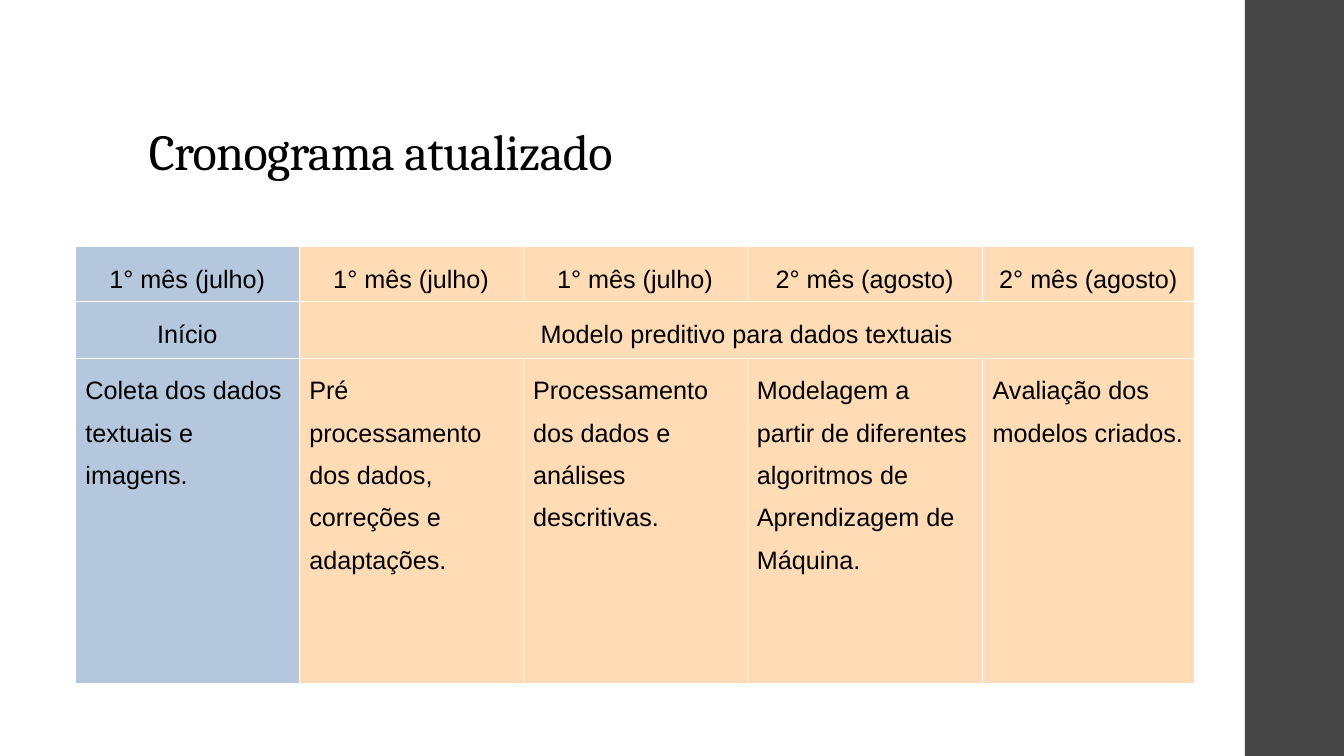
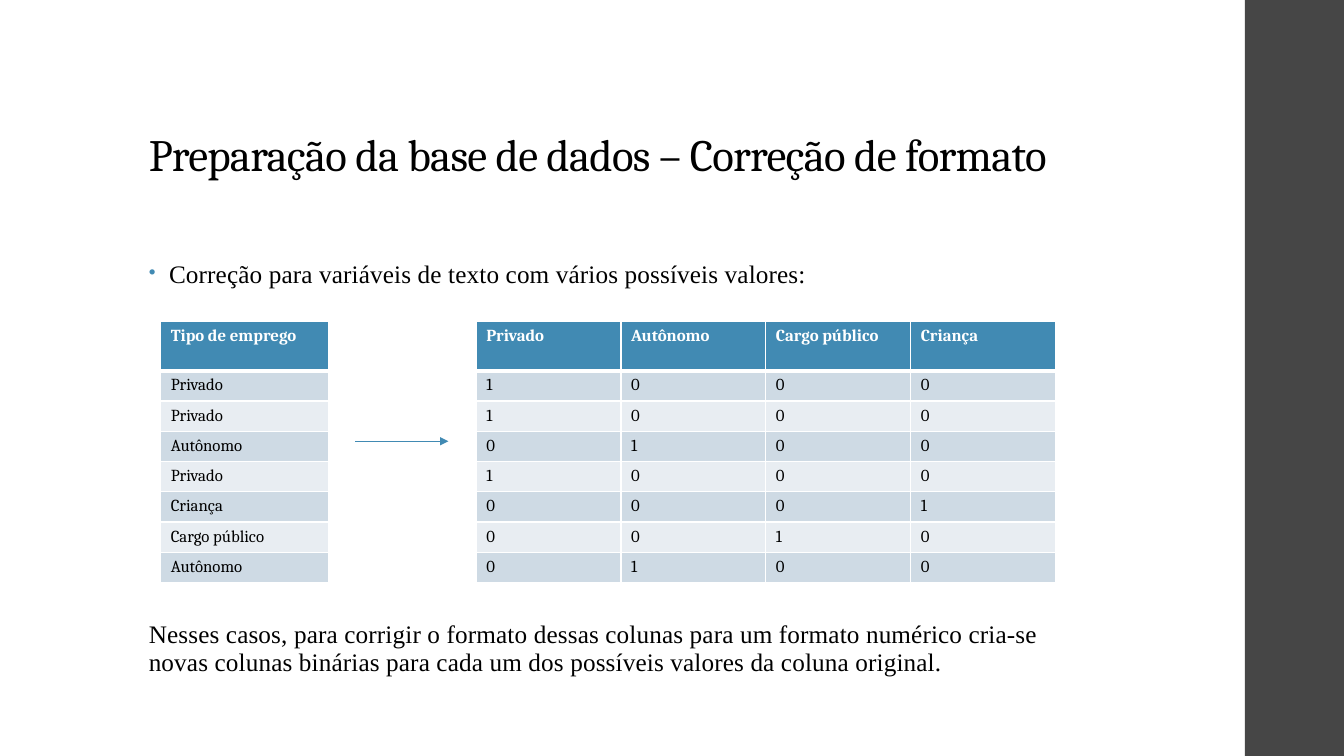
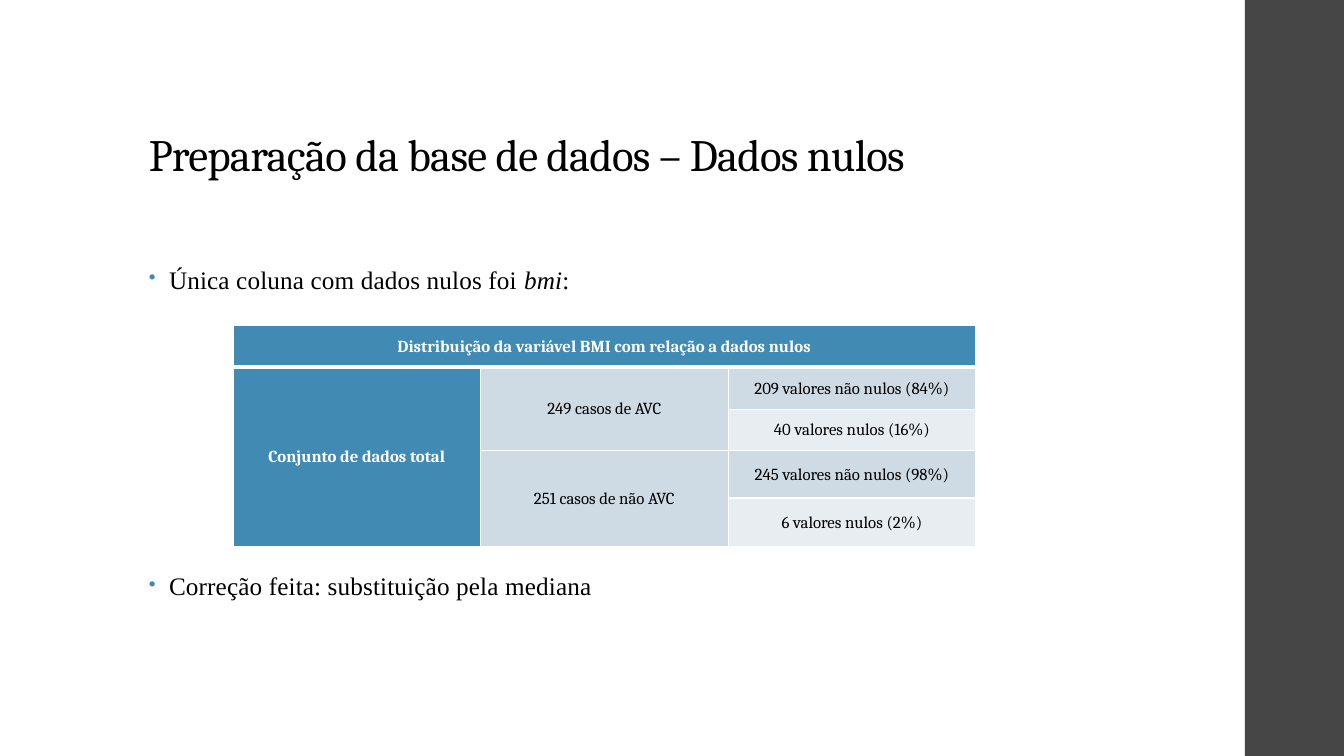
from lxml.etree import SubElement
from pptx import Presentation
from pptx.dml.color import RGBColor
from pptx.enum.shapes import MSO_CONNECTOR as Connector, MSO_SHAPE as Shape
from pptx.enum.text import MSO_ANCHOR as Anchor, PP_ALIGN as Align
from pptx.oxml.ns import qn
from pptx.util import Cm, Pt

WHITE = RGBColor(0xFF, 0xFF, 0xFF)
BLACK = RGBColor(0x00, 0x00, 0x00)
CHARCOAL = RGBColor(0x46, 0x46, 0x46)
ACCENT = RGBColor(0x41, 0x8A, 0xB3)
BAND_DARK = RGBColor(0xCE, 0xDA, 0xE4)
BAND_LIGHT = RGBColor(0xE8, 0xED, 0xF2)
START_BLUE = RGBColor(0xB4, 0xC7, 0xDC)
MODEL_PEACH = RGBColor(0xFF, 0xDB, 0xB6)

TEXT_LEFT = 3.5
TITLE_FONT = dict(name="Cambria", size=Pt(32))
BODY_FONT = dict(name="Times New Roman", size=Pt(18))
DATA_FONT = dict(name="Cambria", size=Pt(12))
SCHEDULE_FONT = dict(name="Arial", size=Pt(18))


def apply(target, values):
    for name, value in values.items():
        setattr(target, name, value)


def banded_fill(row, column):
    if row == 0:
        return ACCENT
    return BAND_DARK if row % 2 else BAND_LIGHT


class Deck:
    """Builds slides with a shared band, title style and table style."""

    def __init__(self):
        self.presentation = Presentation()
        apply(self.presentation, dict(slide_width=Cm(33.87), slide_height=Cm(19.05)))

    def add_slide(self, title, size=32):
        self.slide = self.presentation.slides.add_slide(self.presentation.slide_layouts[6])
        band = self.slide.shapes.add_shape(Shape.RECTANGLE, Cm(31.37), 0, Cm(2.5), Cm(19.05))
        band.shadow.inherit = False
        band.fill.solid()
        band.fill.fore_color.rgb = CHARCOAL
        band.line.fill.background()
        paragraph = self.text_box(1.02, 26.92, 3.68, Anchor.BOTTOM)
        paragraph.line_spacing = 0.9
        self.add_run(paragraph, title, {**TITLE_FONT, "size": Pt(size)}, spacing=-50)

    def text_box(self, top, width, height, anchor=Anchor.TOP):
        box = self.slide.shapes.add_textbox(Cm(TEXT_LEFT), Cm(top), Cm(width), Cm(height))
        apply(box.text_frame, dict(word_wrap=True, vertical_anchor=anchor))
        return box.text_frame.paragraphs[0]

    def add_run(self, paragraph, text, font, color=BLACK, spacing=0):
        run = paragraph.add_run()
        run.text = text
        apply(run.font, font)
        run.font.color.rgb = color
        if spacing:
            run.font._element.set("spc", str(spacing))

    def body(self, top, *parts, height=1.0, bullet=True):
        paragraph = self.text_box(top, 23.88, height)
        paragraph.line_spacing = 0.95
        if bullet:
            properties = paragraph._p.get_or_add_pPr()
            properties.set("marL", str(Cm(0.51)))
            properties.set("indent", str(-Cm(0.51)))
            color = SubElement(properties, qn("a:buClr"))
            SubElement(color, qn("a:srgbClr"), val=str(ACCENT))
            SubElement(properties, qn("a:buSzPct"), val="80000")
            SubElement(properties, qn("a:buChar"), char="•")
        for text, italic in parts:
            self.add_run(paragraph, text, {**BODY_FONT, "italic": italic}, spacing=10)

    def table(self, left, top, widths, heights, rows, fill=banded_fill, font=DATA_FONT,
              cell_format=None, paragraph_format=None, border=0.96, header_rule=3,
              centered_rows=0, spans=None):
        frame = self.slide.shapes.add_table(
            len(rows), len(widths), Cm(left), Cm(top), Cm(sum(widths)), Cm(sum(heights)))
        table = frame.table
        table.horz_banding = False
        for column, width in zip(table.columns, widths):
            column.width = Cm(width)
        for row, height in zip(table.rows, heights):
            row.height = Cm(height)
        for row_index, texts in enumerate(rows):
            for column_index, text in enumerate(texts):
                cell = table.cell(row_index, column_index)
                color = fill(row_index, column_index)
                self.borders(cell, L=border, R=border,
                             T=header_rule if row_index == 1 else border,
                             B=header_rule if row_index == 0 else border)
                cell.fill.solid()
                cell.fill.fore_color.rgb = color
                apply(cell, cell_format or {})
                if text is None:
                    continue
                paragraph = cell.text_frame.paragraphs[0]
                apply(paragraph, paragraph_format or {})
                if row_index < centered_rows:
                    paragraph.alignment = Align.CENTER
                is_header = color == ACCENT
                self.add_run(paragraph, text, {**font, "bold": is_header},
                             WHITE if is_header else BLACK)
        for (first_row, first_column), (last_row, last_column) in (spans or {}).items():
            table.cell(first_row, first_column).merge(table.cell(last_row, last_column))

    def borders(self, cell, **widths):
        properties = cell._tc.get_or_add_tcPr()
        for side, width in widths.items():
            line = SubElement(properties, qn(f"a:ln{side}"), w=str(Pt(width)))
            SubElement(SubElement(line, qn("a:solidFill")), qn("a:srgbClr"), val=str(WHITE))

    def arrow(self, left, right, height):
        arrow = self.slide.shapes.add_connector(
            Connector.STRAIGHT, Cm(left), Cm(height), Cm(right), Cm(height))
        arrow.line.color.rgb = ACCENT
        arrow.line.width = Pt(0.75)
        SubElement(arrow.line._get_or_add_ln(), qn("a:tailEnd"), type="triangle")
        SubElement(arrow._element.spPr, qn("a:effectLst"))


def schedule_slide(deck):
    deck.add_slide("Cronograma atualizado", size=36)
    deck.table(
        1.9, 6.2, [5.64, 5.64, 5.64, 5.94, 5.33], [1.32, 1.42, 8.2],
        [["1° mês (julho)"] * 3 + ["2° mês (agosto)"] * 2,
         ["Início", "Modelo preditivo para dados textuais", None, None, None],
         ["Coleta dos dados textuais e imagens.",
          "Pré processamento dos dados, correções e adaptações.",
          "Processamento dos dados e análises descritivas.",
          "Modelagem a partir de diferentes algoritmos de Aprendizagem de Máquina.",
          "Avaliação dos modelos criados."]],
        fill=lambda row, column: MODEL_PEACH if column else START_BLUE,
        font=SCHEDULE_FONT, paragraph_format=dict(line_spacing=1.5),
        border=0.06, header_rule=0.06, centered_rows=2, spans={(1, 1): (1, 4)})


def format_slide(deck):
    categories = ["Privado", "Autônomo", "Cargo público", "Criança"]
    jobs = ["Privado", "Privado", "Autônomo", "Privado", "Criança", "Cargo público", "Autônomo"]
    flags = [[str(int(job == category)) for category in categories] for job in jobs]
    heights = [1.24] + [0.75] * len(jobs)
    deck.add_slide("Preparação da base de dados – Correção de formato")
    deck.body(6.45, ("Correção para variáveis de texto com vários possíveis valores:", False))
    deck.body(15.5, ("Nesses casos, para corrigir o formato dessas colunas para um formato "
                     "numérico cria-se novas colunas binárias para cada um dos possíveis "
                     "valores da coluna original.", False), height=1.7, bullet=False)
    deck.table(4.05, 8.1, [4.22], heights, [["Tipo de emprego"]] + [[job] for job in jobs])
    deck.table(12, 8.1, [3.65] * len(categories), heights, [categories] + flags)
    deck.arrow(8.95, 11.3, 11.12)


def nulls_slide(deck):
    deck.add_slide("Preparação da base de dados – Dados nulos")
    deck.body(6.58, ("Única coluna com dados nulos foi ", False), ("bmi", True), (":", False))
    deck.body(14.31, ("Correção feita: substituição pela mediana", False))
    deck.table(
        5.87, 8.2, [6.24] * 3, [1.04, 1.07, 1.04, 1.2, 1.22],
        [["Distribuição da variável BMI com relação a dados nulos", None, None],
         ["Conjunto de dados total", "249 casos de AVC", "209 valores não nulos (84%)"],
         [None, None, "40 valores nulos (16%)"],
         [None, "251 casos de não AVC", "245 valores não nulos (98%)"],
         [None, None, "6 valores nulos (2%)"]],
        fill=lambda row, column: banded_fill(row, column) if column else ACCENT,
        cell_format=dict(vertical_anchor=Anchor.MIDDLE, margin_left=Cm(0.18),
                         margin_right=Cm(0.18)),
        paragraph_format=dict(line_spacing=1.07, space_after=Pt(8)), centered_rows=5,
        spans={(0, 0): (0, 2), (1, 0): (4, 0), (1, 1): (2, 1), (3, 1): (4, 1)})


def main():
    deck = Deck()
    schedule_slide(deck)
    format_slide(deck)
    nulls_slide(deck)
    deck.presentation.save("out.pptx")


if __name__ == "__main__":
    main()
